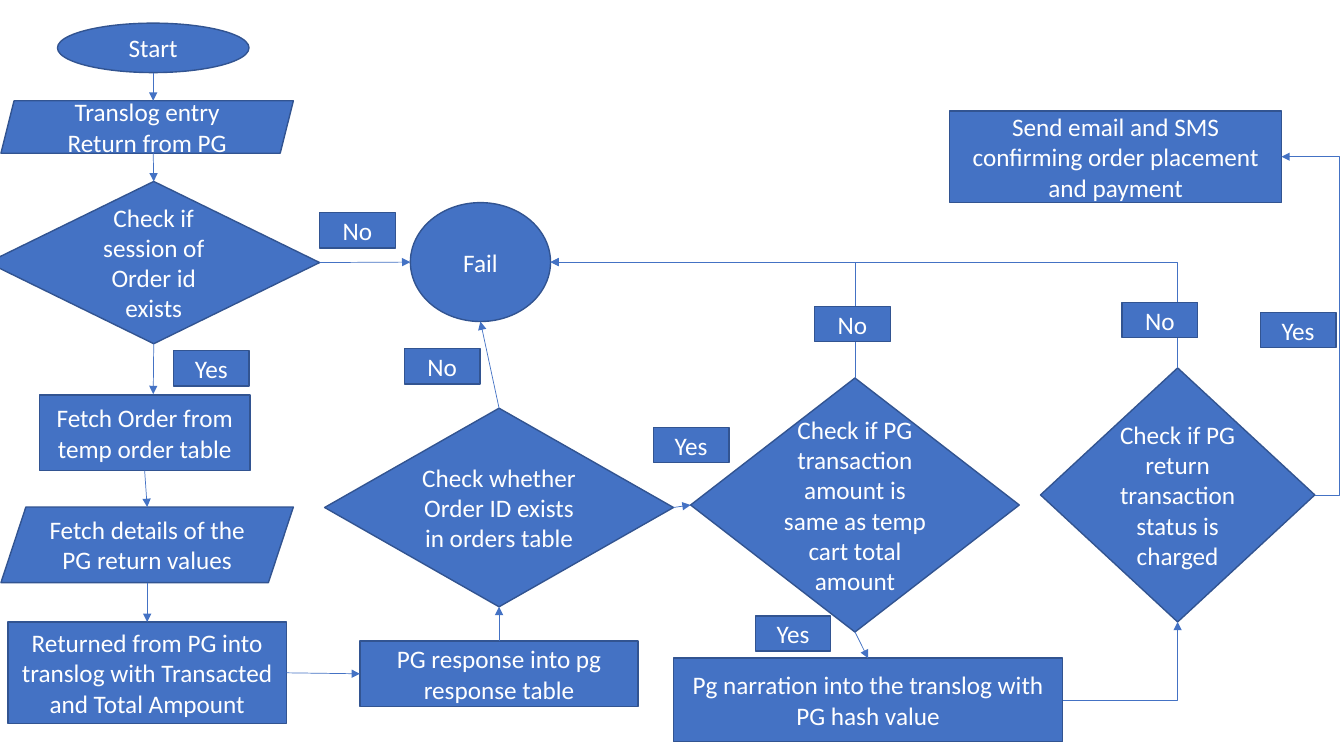
from lxml import etree
from pptx import Presentation
from pptx import util as u
from pptx.dml.color import RGBColor
from pptx.enum import shapes, text
from pptx.oxml import ns

PX = 9144  # 100 px to the inch
FILL, OUTLINE, WHITE = "4472C4", "325491", "FFFFFF"
FONT = {"name": "Calibri", "size": u.Pt(18)}
FRAME = {"word_wrap": True, "vertical_anchor": text.MSO_ANCHOR.MIDDLE}
TOP, LEFT, BOTTOM, RIGHT = range(4)
ELLIPSE_RIGHT = 6
LABEL_SIZE = (75, 35)

KIND = shapes.MSO_SHAPE
STEPS = {
    "translog": (KIND.PARALLELOGRAM, 1, 100, 290, 52, "Translog entry Return from PG"),
    "start": (KIND.OVAL, 57, 23, 190, 49, "Start"),
    "session": (KIND.DIAMOND, -12, 180, 329, 161, "Check if session of Order id exists"),
    "fail": (KIND.OVAL, 407, 201, 139, 118, "Fail"),
    "fetch_order": (KIND.RECTANGLE, 39, 392, 209, 75, "Fetch Order from temp order table"),
    "fetch_details": (KIND.PARALLELOGRAM, 1, 503, 290, 75, "Fetch details of the PG return values"),
    "returned": (KIND.RECTANGLE, 8, 617, 276, 101,
                 "Returned from PG into translog with Transacted and Total Ampount"),
    "response": (KIND.RECTANGLE, 357, 636, 276, 65, "PG response into pg response table"),
    "order_exists": (KIND.DIAMOND, 322, 405, 346, 197, "Check whether Order ID exists in orders table"),
    "amount": (KIND.DIAMOND, 685, 375, 326, 252,
               "Check if PG transaction amount is same as temp cart total amount"),
    "narration": (KIND.RECTANGLE, 668, 653, 386, 83, "Pg narration into the translog with PG hash value"),
    "charged": (KIND.DIAMOND, 1032, 365, 272, 252, "Check if PG return transaction status is charged"),
    "notify": (KIND.RECTANGLE, 942, 110, 329, 91,
               "Send email and SMS confirming order placement and payment"),
}

# An end is either a step with a side, or a point in px.
ARROWS = [
    (("start", BOTTOM), (152, 100)),
    ((152, 152), ("session", TOP)),
    (("session", RIGHT), ("fail", LEFT)),
    (("session", BOTTOM), (152, 391)),
    (("fetch_order", BOTTOM), ("fetch_details", TOP)),
    (("fetch_details", BOTTOM), ("returned", TOP)),
    (("returned", RIGHT), ("response", LEFT)),
    (("response", TOP), ("order_exists", BOTTOM)),
    (("order_exists", TOP), ("fail", BOTTOM)),
    (("order_exists", RIGHT), ("amount", LEFT)),
    (("amount", BOTTOM), ("narration", TOP)),
]

ANSWERS = [
    ("No", 317, 211), ("Yes", 172, 348), ("No", 401, 346), ("Yes", 648, 424),
    ("No", 808, 304), ("Yes", 749, 611), ("No", 1113, 300), ("Yes", 1250, 310),
]


def color(hex_value):
    return RGBColor.from_string(hex_value)


def apply(target, formats):
    for key, value in formats.items():
        setattr(target, key, value)


def add_step(slide, kind, left, top, width, height, wording):
    step = slide.shapes.add_shape(kind, *(n * PX for n in (left, top, width, height)))
    step.shadow.inherit = False
    step.fill.solid()
    step.fill.fore_color.rgb = color(FILL)
    step.line.color.rgb = color(OUTLINE)
    step.line.width = u.Pt(1)
    apply(step.text_frame, FRAME)
    paragraph = step.text_frame.paragraphs[0]
    paragraph.alignment = text.PP_ALIGN.CENTER
    run = paragraph.add_run()
    run.text = wording
    apply(run.font, FONT)
    run.font.color.rgb = color(WHITE)
    return step


def side_middle(step, side):
    across, down = {TOP: (1, 0), LEFT: (0, 1), BOTTOM: (1, 2), RIGHT: (2, 1)}[side]
    return step.left + step.width * across // 2, step.top + step.height * down // 2


def add_arrow(slide, kind, start, finish):
    arrow = slide.shapes.add_connector(kind, *start, *finish)
    arrow.line.color.rgb = color(FILL)
    arrow.line.width = u.Pt(0.5)
    etree.SubElement(arrow.line._get_or_add_ln(), ns.qn("a:tailEnd"), type="triangle")
    etree.SubElement(arrow._element.spPr, ns.qn("a:effectLst"))
    return arrow


def add_straight(slide, steps, *ends):
    """Draw a straight arrow and join it to the rectangles and diamonds it touches."""
    points = [side_middle(steps[a], b) if a in steps else (a * PX, b * PX) for a, b in ends]
    arrow = add_arrow(slide, shapes.MSO_CONNECTOR.STRAIGHT, *points)
    for (name, side), join in zip(ends, (arrow.begin_connect, arrow.end_connect)):
        if name in steps and steps[name].auto_shape_type in (KIND.RECTANGLE, KIND.DIAMOND):
            join(steps[name], side)


def add_elbow(slide, source, source_side, target, target_side, preset, target_site=None):
    """Draw a bent arrow; target_site is the joint's index where it differs from the side."""
    start, finish = side_middle(source, source_side), side_middle(target, target_side)
    elbow = add_arrow(slide, shapes.MSO_CONNECTOR.ELBOW, start, finish)
    joints = elbow._element.nvCxnSpPr.cNvCxnSpPr
    site = target_side if target_site is None else target_site
    apply(joints.get_or_add_stCxn(), {"id": source.shape_id, "idx": source_side})
    apply(joints.get_or_add_endCxn(), {"id": target.shape_id, "idx": site})
    geometry = elbow._element.spPr.find(ns.qn("a:prstGeom"))
    geometry.set("prst", preset)
    return elbow, geometry


def turn_upward(elbow):
    """Make a one-bend arrow leave upward and then run left."""
    width, height = elbow.width, elbow.height
    shift = (width - height) // 2
    apply(elbow, {"left": elbow.left + shift, "top": elbow.top - shift,
                  "width": height, "height": width})
    apply(elbow._element.spPr.xfrm, {"rot": 270, "flipH": False, "flipV": True})


def main():
    deck = Presentation()
    deck.slide_width, deck.slide_height = 1333 * PX, 750 * PX
    slide = deck.slides.add_slide(deck.slide_layouts[6])

    steps = {name: add_step(slide, *step) for name, step in STEPS.items()}
    steps["fetch_details"].adjustments[0] = 0.33

    for ends in ARROWS:
        add_straight(slide, steps, *ends)
    for check in ("amount", "charged"):
        elbow, _ = add_elbow(slide, steps[check], TOP, steps["fail"], RIGHT,
                             "bentConnector2", ELLIPSE_RIGHT)
        turn_upward(elbow)
    add_elbow(slide, steps["narration"], RIGHT, steps["charged"], BOTTOM, "bentConnector2")
    _, bend = add_elbow(slide, steps["charged"], RIGHT, steps["notify"], RIGHT, "bentConnector3")
    bend.rewrite_guides([("adj1", -75400)])

    for answer, left, top in ANSWERS:
        add_step(slide, KIND.RECTANGLE, left, top, *LABEL_SIZE, answer)

    deck.save("out.pptx")


if __name__ == "__main__":
    main()
